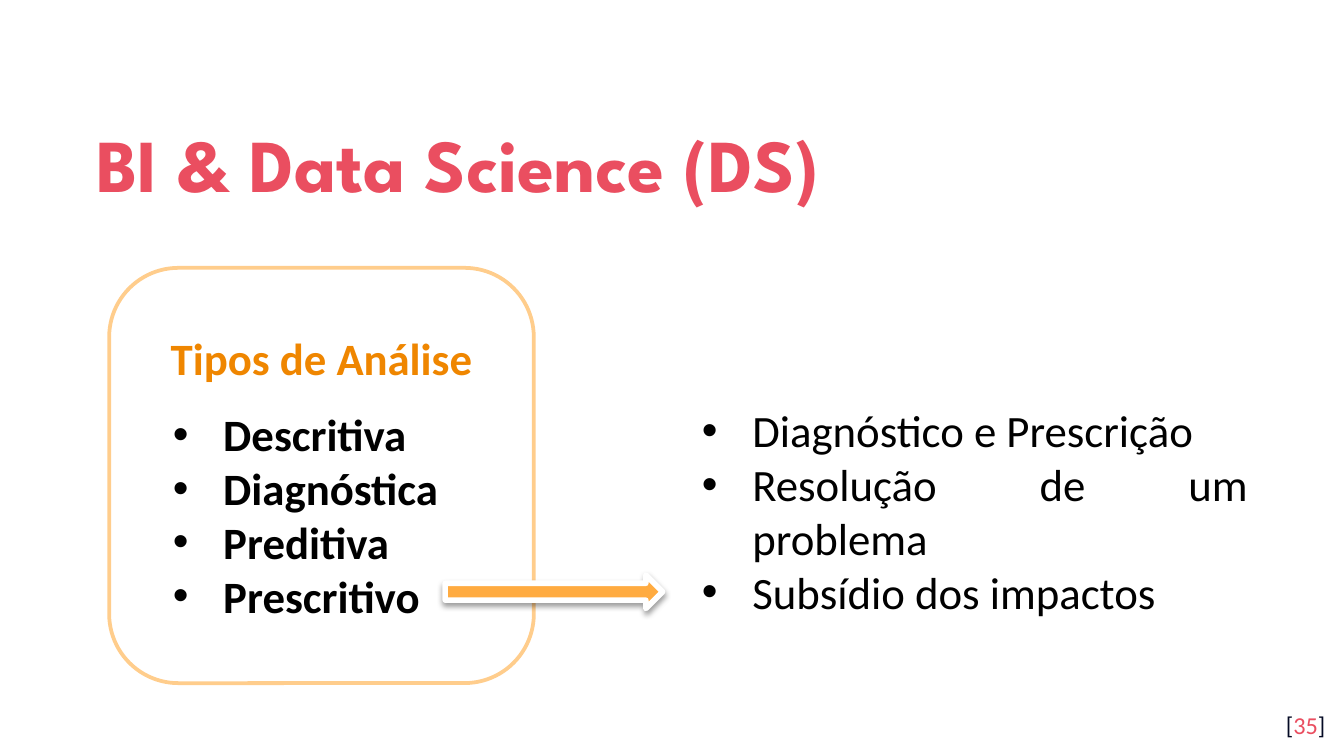
from dataclasses import dataclass

from lxml import etree
from pptx import Presentation
from pptx.dml.color import RGBColor
from pptx.enum import shapes, text
from pptx.oxml import ns
from pptx.util import Pt


@dataclass(frozen=True)
class Theme:
    pink: str = "EA4E60"
    navy: str = "040A24"
    black: str = "000000"
    dark: str = "EF8600"
    pale: str = "FFCD8C"
    amber: str = "FFAB40"
    white: str = "FFFFFF"
    head: str = "League Spartan"
    body: str = "Calibri"
    big: float = 40
    mid: float = 24
    small: float = 13
    pad: float = 7.2
    indent: float = 33
    hang: float = 27


T = Theme()
ALIGN = text.PP_ALIGN
ANCHOR = text.MSO_ANCHOR


def rgb(code):
    return RGBColor.from_string(code)


def sub(parent, tag, **attrs):
    return etree.SubElement(parent, ns.qn(tag), attrs)


def bullet(para):
    props = para._p.get_or_add_pPr()
    props.set("marL", str(Pt(T.indent)))
    props.set("indent", str(-Pt(T.hang)))
    sub(sub(props, "a:buClr"), "a:srgbClr", val=T.black)
    sub(props, "a:buFont", typeface="Arial")
    sub(props, "a:buChar", char="•")


def write(shape, lines, size=T.mid, font=T.body, color=T.black, bold=False,
          align=ALIGN.LEFT, anchor=ANCHOR.TOP, top=T.pad, space=None, dots=False):
    """Each line is a string or a list of (string, colour) runs."""
    frame = shape.text_frame
    frame.word_wrap = True
    frame.vertical_anchor = anchor
    frame.margin_left = frame.margin_right = frame.margin_bottom = Pt(T.pad)
    frame.margin_top = Pt(top)
    for i, line in enumerate(lines):
        para = frame.add_paragraph() if i else frame.paragraphs[0]
        para.alignment = align
        if space:
            para.line_spacing = space
        if dots:
            bullet(para)
        for words, tint in [(line, color)] if isinstance(line, str) else line:
            run = para.add_run()
            run.text = words
            run.font.name, run.font.size, run.font.bold = font, Pt(size), bold
            run.font.color.rgb = rgb(tint)


def label(slide, box, lines, **style):
    write(slide.shapes.add_textbox(*map(Pt, box)), lines, **style)


def draw(slide, kind, box, line, width, fill=None):
    shape = slide.shapes.add_shape(kind, *map(Pt, box))
    shape.shadow.inherit = False
    if fill:
        shape.fill.solid()
        shape.fill.fore_color.rgb = rgb(fill)
    else:
        shape.fill.background()
    shape.line.color.rgb = rgb(line)
    shape.line.width = Pt(width)
    return shape


def points(slide, box, lines, bold=False):
    label(slide, box, lines, bold=bold, dots=True,
          align=ALIGN.JUSTIFY, anchor=ANCHOR.MIDDLE)


def title(slide, box):
    label(slide, box, ["BI & Data Science (DS)"], size=T.big, font=T.head,
          color=T.pink, bold=True, anchor=ANCHOR.MIDDLE, space=1.15)


def number(slide, box):
    label(slide, box, [[("[", T.navy), ("35", T.pink), ("]", T.navy)]],
          size=T.small, align=ALIGN.RIGHT)


def card(slide, box):
    # Framed heading with the kinds of analysis below it
    x, y, w, h = box
    points(slide, (x + 21, y + 28.5, w - 5, h - 15),
           ["Descritiva", "Diagnóstica", "Preditiva", "Prescritivo"], bold=True)
    frame = draw(slide, shapes.MSO_SHAPE.ROUNDED_RECTANGLE, box, T.pale, 2)
    write(frame, ["Tipos de Análise"], color=T.dark, bold=True,
          align=ALIGN.CENTER, top=23)


def arrow(slide, box):
    shape = draw(slide, shapes.MSO_SHAPE.RIGHT_ARROW, box, T.white, 3, T.amber)
    # Soft shadow straight below
    glow = sub(shape._element.spPr.find(ns.qn("a:effectLst")), "a:outerShdw",
               blurRad=str(Pt(3.1)), dist=str(Pt(1.6)), dir="5400000",
               rotWithShape="0")
    sub(sub(glow, "a:srgbClr", val=T.black), "a:alpha", val="38000")


def main():
    deck = Presentation()
    deck.slide_width, deck.slide_height = Pt(720), Pt(405)
    slide = deck.slides.add_slide(deck.slide_layouts[6])

    title(slide, (44.5, 50.5, 631.5, 66))
    number(slide, (674, 373.5, 43, 31))
    card(slide, (58.5, 143.5, 227.5, 222.5))
    # What the prescriptive kind delivers
    points(slide, (363, 186.5, 312.5, 174),
           ["Diagnóstico e Prescrição", "Resolução de um problema",
            "Subsídio dos impactos"])
    arrow(slide, (238.5, 308, 116.5, 18))

    deck.save("out.pptx")


if __name__ == "__main__":
    main()
